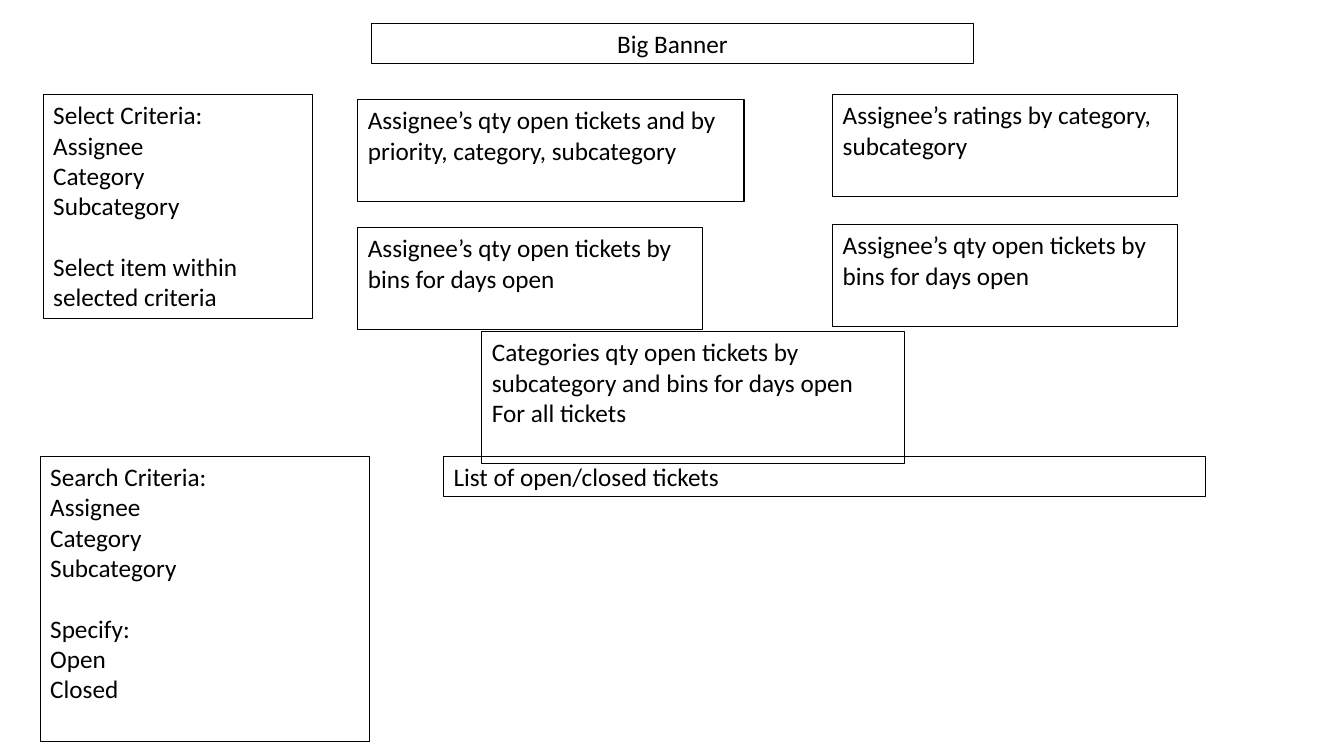
from pptx import Presentation
from pptx.dml.color import RGBColor
from pptx.enum.text import MSO_ANCHOR, MSO_AUTO_SIZE, PP_ALIGN
from pptx.util import Inches, Pt

BLACK = "000000"
LINE_HEIGHT = 21.96  # points, one line of 18 pt Calibri


def rgb(value):
    return RGBColor.from_string(value)


def fill_box(sp, at, groups, align=PP_ALIGN.LEFT):
    """Outline and place a box; groups of paragraphs are one line apart."""
    sp.left, sp.top, sp.width, sp.height = [Inches(v) for v in at]
    sp.line.color.rgb = rgb(BLACK)
    sp.line.width = Pt(0.75)
    tf = sp.text_frame
    tf.word_wrap = True
    tf.auto_size = MSO_AUTO_SIZE.NONE
    tf.vertical_anchor = MSO_ANCHOR.TOP
    tf.text = "\n".join("\n".join(group) for group in groups)
    for p in tf.paragraphs:
        p.alignment = align
        p.font.name = "Calibri"
        p.font.size = Pt(18)
        p.font.color.rgb = rgb(BLACK)
    start = 0
    for group in groups[:-1]:
        start += len(group)
        tf.paragraphs[start].space_before = Pt(LINE_HEIGHT)


prs = Presentation()
prs.slide_width, prs.slide_height = Inches(13.33), Inches(7.5)
s = prs.slides.add_slide(prs.slide_layouts[5])

fill_box(s.shapes.title, (3.68, 0.23, 5.98, 0.4), [["Big Banner"]], PP_ALIGN.CENTER)

fields = ["Assignee", "Category", "Subcategory"]
days_open = [["Assignee’s qty open tickets by bins for days open"]]
boxes = [
    ((0.43, 0.94, 2.67, 2.22),
     [["Select Criteria:", *fields], ["Select item within selected criteria"]]),
    ((3.55, 0.99, 3.83, 1.01),
     [["Assignee’s qty open tickets and by priority, category, subcategory"]]),
    ((8.26, 0.94, 3.42, 1.01), [["Assignee’s ratings by category, subcategory"]]),
    ((4.4, 4.53, 7.56, 0.4), [["List of open/closed tickets"]]),
    ((4.78, 3.29, 4.19, 1.31),
     [["Categories qty open tickets by subcategory and bins for days open",
       "For all tickets"]]),
    ((8.26, 2.23, 3.42, 1.01), days_open),
    ((3.55, 2.26, 3.42, 1.01), days_open),
    ((0.4, 4.53, 3.27, 2.83),
     [["Search Criteria:", *fields], ["Specify:", "Open", "Closed"]]),
]
for at, groups in boxes:
    fill_box(s.shapes.add_textbox(0, 0, 0, 0), at, groups)

prs.save("out.pptx")
